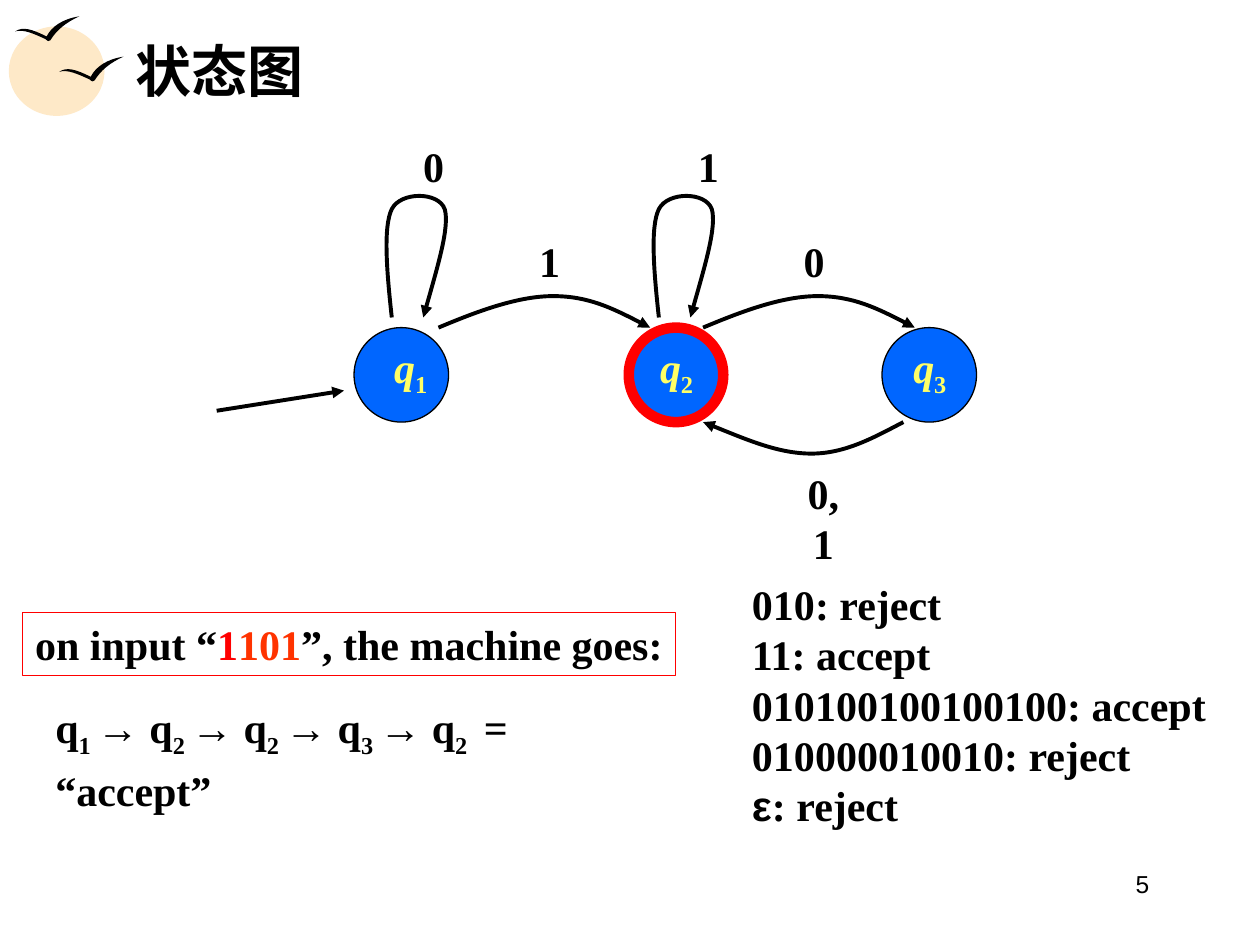
from lxml.etree import SubElement
from pptx import Presentation
from pptx.dml.color import RGBColor
from pptx.enum.shapes import MSO_CONNECTOR, MSO_SHAPE
from pptx.enum.text import MSO_ANCHOR, PP_ALIGN
from pptx.oxml.ns import qn
from pptx.util import Inches, Pt

BLACK = RGBColor(0x00, 0x00, 0x00)
RED = RGBColor(0xFF, 0x00, 0x00)
ORANGE = RGBColor(0xFF, 0x33, 0x00)
BLUE = RGBColor(0x00, 0x66, 0xFF)
YELLOW = RGBColor(0xFF, 0xFF, 0x66)
CREAM = RGBColor(0xFE, 0xE9, 0xC8)
SERIF, SANS = "Times New Roman", "Arial"

prs = Presentation()
prs.slide_width, prs.slide_height = Inches(10), Inches(7.5)
G = prs.slide_width / 100  # grid of 100 columns by 75 rows
shapes = prs.slides.add_slide(prs.slide_layouts[6]).shapes


def text(paragraphs, x, y, w, h, size=24, color=BLACK, font=SERIF, bold=True,
         align=PP_ALIGN.LEFT, anchor=MSO_ANCHOR.TOP, wrap=False, spacing=None):
    """Each paragraph is a list of (string, run overrides)."""
    s = shapes.add_textbox(*(int(v * G) for v in (x, y, w, h)))
    tf = s.text_frame
    tf.word_wrap, tf.vertical_anchor = wrap, anchor
    for i, runs in enumerate(paragraphs):
        p = tf.add_paragraph() if i else tf.paragraphs[0]
        p.alignment = align
        if spacing:
            p.line_spacing = Pt(spacing)
        for string, look in runs:
            r = p.add_run()
            r.text = string
            r.font.size, r.font.bold = Pt(size), bold
            r.font.italic = look.get("italic", False)
            r.font.name = look.get("font", font)
            r.font.color.rgb = look.get("color", color)
            if look.get("sub"):
                r._r.get_or_add_rPr().set("baseline", "-25000")
    return s


def curve(x, y, steps, close=False):
    """Bezier path from (x, y); steps are offsets, three to a segment."""
    points = [((x + dx) * G, (y + dy) * G) for dx, dy in steps]
    builder = shapes.build_freeform(x * G, y * G)
    builder.add_line_segments(points, close=close)
    s = builder.convert_to_shape()
    s.shadow.inherit = False
    lines = list(s._element.iter(qn("a:lnTo")))
    for i in range(0, len(steps), 3):
        bezier = lines[i].makeelement(qn("a:cubicBezTo"))
        lines[i].addprevious(bezier)
        for line in lines[i:i + 3]:
            bezier.append(line[0])
            line.getparent().remove(line)
    return s


# Sun and two birds
sun = shapes.add_shape(MSO_SHAPE.OVAL, *(int(v * G) for v in (0.7, 2.1, 7.6, 7.1)))
sun.shadow.inherit = False
sun.fill.solid()
sun.fill.fore_color.rgb = CREAM
sun.line.fill.background()
BIRD = [(0.6, -0.4), (1.3, -0.2), (2.5, 0.4), (2.9, -0.4), (3.8, -1), (5.1, -1.2),
        (4, -0.7), (3.3, -0.1), (2.8, 0.7), (2.7, 0.8), (2.6, 0.8), (2.4, 0.6),
        (1.5, 0.2), (0.7, -0.2), (0, 0)]
for x, y in [(4.7, 5.7), (1.2, 2.5)]:
    s = curve(x, y, BIRD, close=True)
    s.fill.solid()
    s.fill.fore_color.rgb = BLACK
    s.line.fill.background()

# Title and page number
text([[("状态图", {})]], 9.8, 2.1, 85.3, 6.9, size=32, anchor=MSO_ANCHOR.MIDDLE, wrap=True)
text([[("5", {})]], 68.9, 68.5, 23.3, 5.2, size=14, font=SANS, bold=False,
     align=PP_ALIGN.RIGHT, wrap=True)

# States: number, circle left, label left, outline
for n, x, label_x, color, width in [("1", 28.1, 30.3, BLACK, 0.75),
                                    ("2", 49.9, 51.4, RED, 6),
                                    ("3", 70, 71.5, BLACK, 0.75)]:
    s = shapes.add_shape(MSO_SHAPE.OVAL, *(int(v * G) for v in (x, 26, 7.5, 7.5)))
    s.shadow.inherit = False
    s.fill.solid()
    s.fill.fore_color.rgb = BLUE
    s.line.color.rgb, s.line.width = color, Pt(width)
    text([[("q", {"italic": True}), (n, {"sub": True})]], label_x, 26.6, 4.6, 5.6,
         color=YELLOW, align=PP_ALIGN.CENTER)

# Transitions
ARC = [(3.1, -1.3), (6.3, -2.5), (9.1, -2.5), (11.9, -2.5), (14.3, -1.3), (16.8, 0)]
BACK = [(-2.3, 1.2), (-4.6, 2.5), (-7.3, 2.5), (-9.9, 2.5), (-12.9, 1.2), (-15.9, 0)]
LOOP = [(-0.4, -3.6), (-0.7, -7.2), (0, -8.6), (0.7, -10), (3.7, -10), (4.2, -8.6),
        (4.6, -7.2), (3.5, -3.6), (2.5, 0)]
arrows = []
for x, y, steps, label, label_x, label_y, label_w in [
        (34.8, 26, ARC, "1", 41.8, 18.2, 3.6),
        (55.8, 26, ARC, "0", 62.8, 18.2, 3.6),
        (71.7, 33.5, BACK, "0,1", 62.3, 36.6, 6.1),
        (31.1, 25.2, LOOP, "0", 32.6, 10.7, 3.6),
        (52.3, 25.2, LOOP, "1", 54.4, 10.7, 3.6)]:
    s = curve(x, y, steps)
    s.fill.background()
    arrows.append(s)
    text([[(label, {})]], label_x, label_y, label_w, 5, align=PP_ALIGN.CENTER)

# Start arrow
start = shapes.add_connector(MSO_CONNECTOR.STRAIGHT,
                             *(int(v * G) for v in (17.2, 32.6, 27.3, 31)))
arrows.append(start)
for s in arrows:
    s.line.color.rgb, s.line.width = BLACK, Pt(2.25)
    SubElement(s.line._get_or_add_ln(), qn("a:tailEnd"), type="triangle")
SubElement(start._element.spPr, qn("a:effectLst"))

# Run of the machine on one input
path = [("q", {}), ("1 ", {"sub": True})]
for n in "2232":
    path += [("→", {"font": SANS}), (" q", {}), (n + " ", {"sub": True})]
text([path + [(" = “accept”", {})]], 3.4, 55.3, 50.5, 5.6, wrap=True, spacing=32)
s = text([[("on input “", {}), ("1", {"color": RED}), ("101", {"color": ORANGE}),
           ("”, the machine goes:", {})]], 1.8, 48.6, 51.8, 5)
s.line.color.rgb, s.line.width = RED, Pt(0.75)

# Results for sample inputs
results = ["010: reject", "11: accept", "010100100100100: accept", "010000010010: reject"]
text([[(line, {})] for line in results] + [[("ε", {"font": SANS}), (": reject", {})]],
     58.7, 45.4, 38, 21, spacing=28.8)

prs.save("out.pptx")
